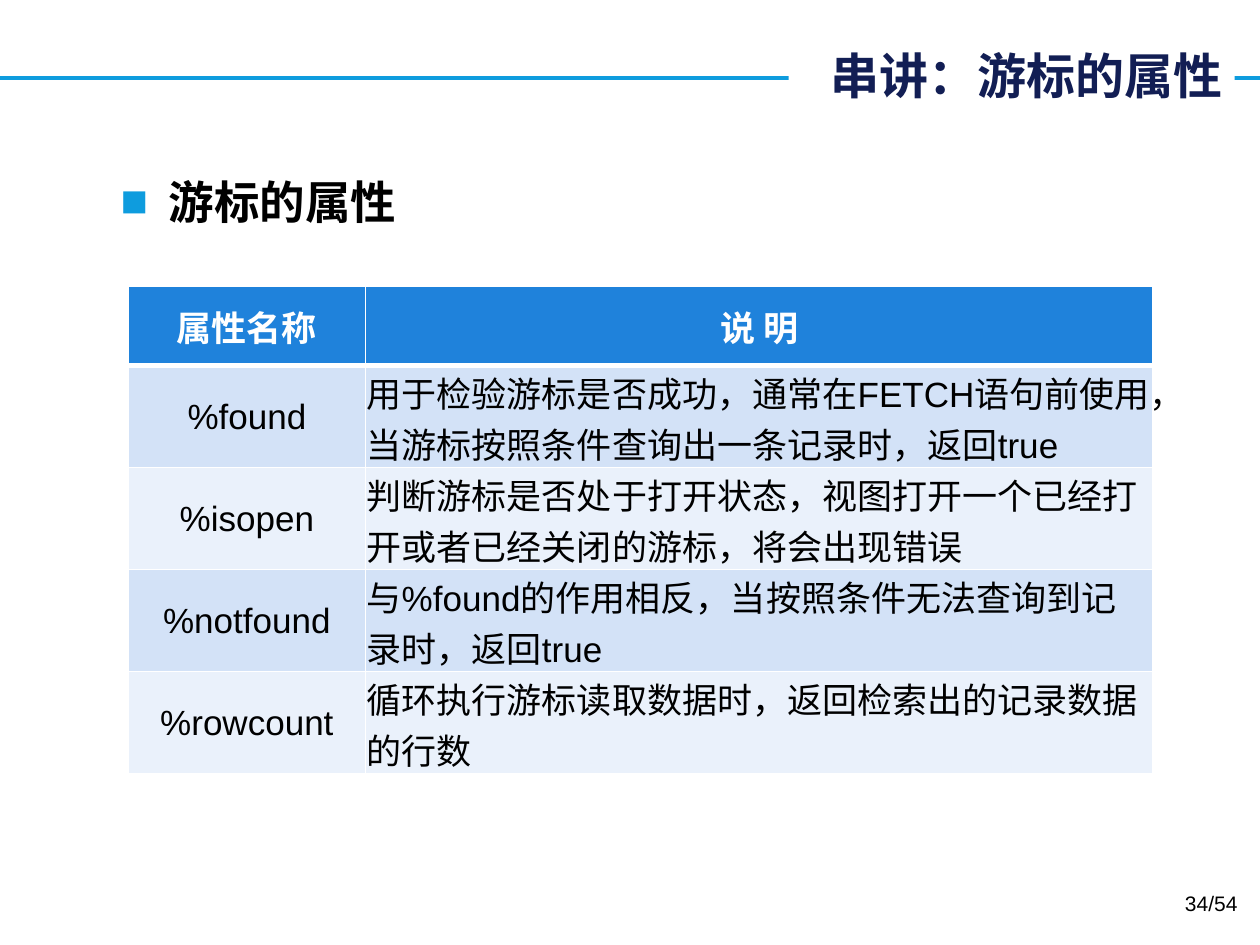
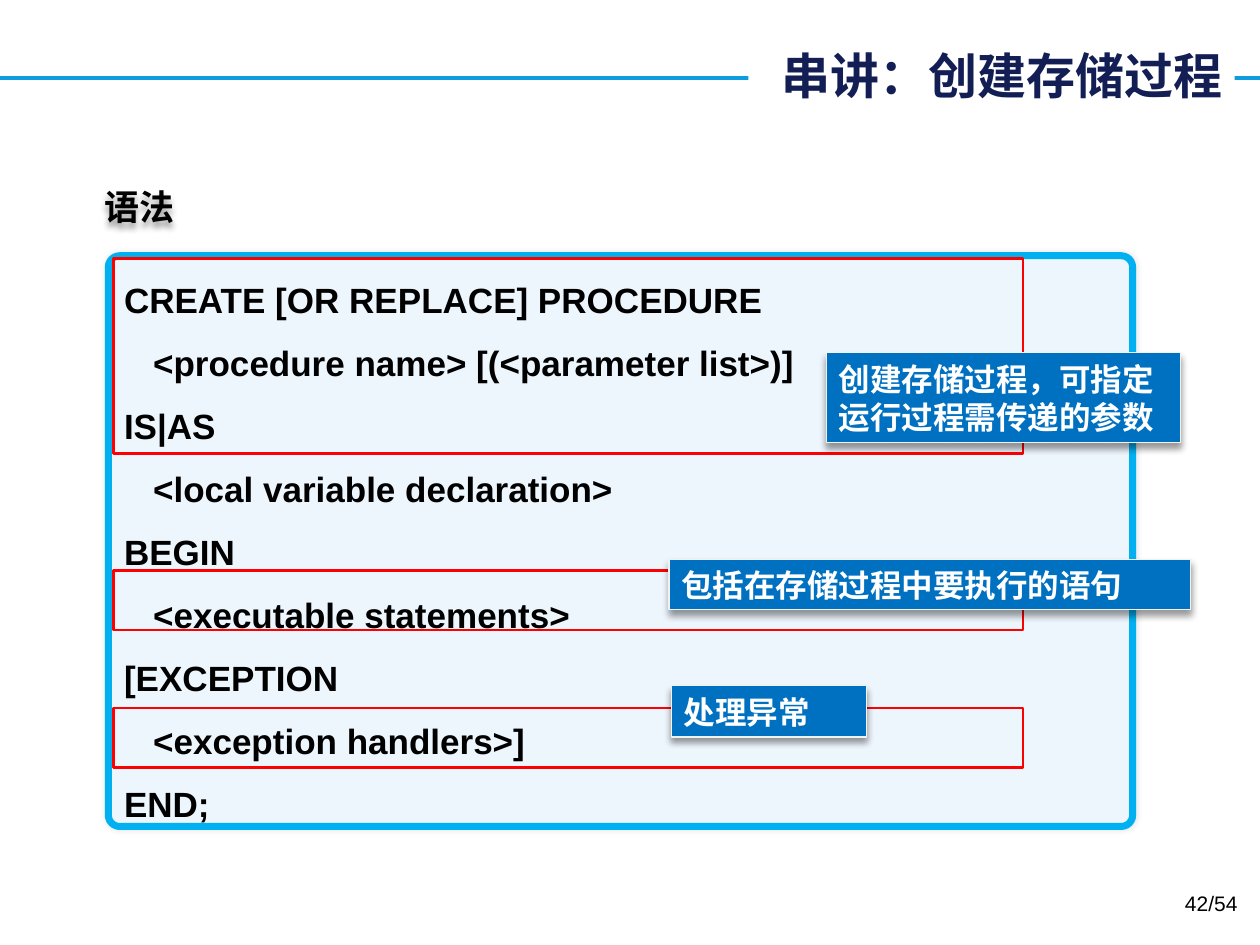
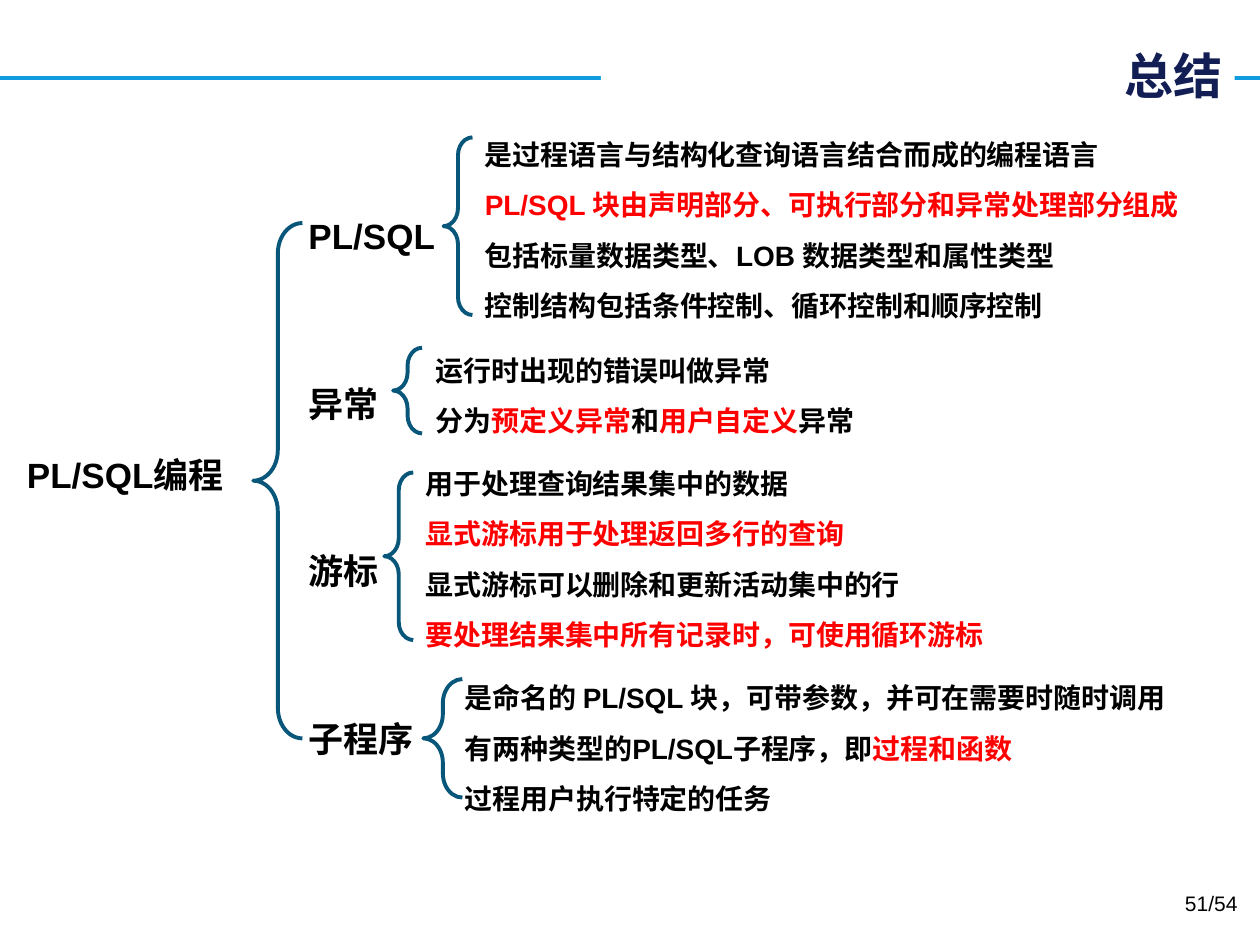
"""Build three slides that review cursors, stored procedures and PL/SQL."""
from lxml import etree
from pptx import Presentation
from pptx.dml.color import RGBColor
from pptx.enum.shapes import MSO_CONNECTOR, MSO_SHAPE
from pptx.enum.text import MSO_ANCHOR, PP_ALIGN
from pptx.oxml.ns import qn
from pptx.util import Inches, Pt

LEFT, MID, RIGHT = PP_ALIGN.LEFT, PP_ALIGN.CENTER, PP_ALIGN.RIGHT
TOP, CENTER, BOTTOM = MSO_ANCHOR.TOP, MSO_ANCHOR.MIDDLE, MSO_ANCHOR.BOTTOM
RECT, ROUND, BRACE = MSO_SHAPE.RECTANGLE, MSO_SHAPE.ROUNDED_RECTANGLE, MSO_SHAPE.LEFT_BRACE
STRAIGHT = MSO_CONNECTOR.STRAIGHT

COLORS = {
    "rule": "0E9CDE", "title": "121E54", "text": "000000", "white": "FFFFFF",
    "head": "1F82DB", "odd": "D3E2F7", "even": "EAF1FB", "code": "EDF5FD",
    "frame": "00B0F0", "red": "FF0000", "note": "0070C0", "edge": "F2F2F2",
    "brace": "08577A",
}
LATIN, HAN = "Arial", "Noto Sans CJK SC"
RED = {"color": "red"}
TOTAL = 54

ROWS = [
    ("%found", [("用于检验游标是否成功，通常在", {}), ("FETCH", {"name": LATIN}),
                ("语句前使用，当游标按照条件查询出一条记录时，返回", {}),
                ("true", {"name": LATIN})]),
    ("%isopen", "判断游标是否处于打开状态，视图打开一个已经打开或者已经关闭的游标，将会出现错误"),
    ("%notfound", [("与", {}), ("%found", {"name": LATIN}),
                   ("的作用相反，当按照条件无法查询到记录时，返回", {}),
                   ("true", {"name": LATIN})]),
    ("%rowcount", "循环执行游标读取数据时，返回检索出的记录数据的行数"),
]
CODE = [
    "CREATE [OR REPLACE] PROCEDURE",
    "   <procedure name> [(<parameter list>)]",
    "IS|AS",
    "   <local variable declaration>",
    "BEGIN",
    "   <executable statements>",
    "[EXCEPTION",
    "   <exception handlers>]",
    "END;",
]
FRAMES = [(2.05, 1.55), (4.53, 0.47), (5.62, 0.47)]
NOTES = [
    ((6.56, 2.8, 2.81, 0.71), ["创建存储过程，可指定", "运行过程需传递的参数"]),
    ((5.33, 5.44, 1.55, 0.41), ["处理异常"]),
    ((5.31, 4.44, 4.14, 0.4), ["包括在存储过程中要执行的语句"]),
]
TOPICS = [
    ("PL/SQL", (3.52, 1.09, 0.23, 1.41), (3.75, 0.91, 5.94, 1.67), [
        "是过程语言与结构化查询语言结合而成的编程语言",
        [("PL/SQL 块由声明部分、可执行部分和异常处理部分组成", RED)],
        "包括标量数据类型、LOB 数据类型和属性类型",
        "控制结构包括条件控制、循环控制和顺序控制"]),
    ("异常", (3.12, 2.76, 0.23, 0.68), (3.36, 2.62, 5.94, 0.86), [
        "运行时出现的错误叫做异常",
        [("分为", {}), ("预定义异常", RED), ("和", {}), ("用户自定义", RED), ("异常", {})]]),
    ("游标", (3.05, 3.75, 0.23, 1.33), (3.28, 3.52, 5.94, 1.67), [
        "用于处理查询结果集中的数据",
        [("显式游标用于处理返回多行的查询", RED)],
        "显式游标可以删除和更新活动集中的行",
        [("要处理结果集中所有记录时，可使用循环游标", RED)]]),
    ("子程序", (3.36, 5.39, 0.31, 0.94), (3.59, 5.22, 5.94, 1.26), [
        "是命名的 PL/SQL 块，可带参数，并可在需要时随时调用",
        [("有两种类型的PL/SQL子程序，即", {}), ("过程和函数", RED)],
        "过程用户执行特定的任务"]),
]


def hue(key):
    """Return the colour stored under a key."""
    return RGBColor.from_string(COLORS[key])


def apply(target, values):
    """Set each attribute in a dict of format values."""
    for key, value in values.items():
        setattr(target, key, value)


def child(parent, tag, **attrs):
    """Add an XML element below a parent."""
    return etree.SubElement(parent, qn(tag), attrs)


def style(run, size, color="text", name=LATIN, bold=True):
    """Set the font of a run."""
    apply(run.font, {"size": Pt(size), "bold": bold, "name": name})
    run.font.color.rgb = hue(color)
    child(run.font._element, "a:ea", typeface=HAN)


def write(frame, lines, size, align=LEFT, anchor=TOP, pitch=None, **font):
    """Fill a text frame with lines made of plain or styled parts."""
    apply(frame, {"word_wrap": True, "vertical_anchor": anchor})
    for i, line in enumerate(lines):
        para = frame.add_paragraph() if i else frame.paragraphs[0]
        apply(para, {"alignment": align, "line_spacing": pitch and Pt(pitch)})
        for text, extra in ([(line, {})] if isinstance(line, str) else line):
            run = para.add_run()
            run.text = text
            style(run, size, **{**font, **extra})


def label(slide, box, lines, size, **form):
    """Add a text box."""
    shape = slide.shapes.add_textbox(*map(Inches, box))
    write(shape.text_frame, lines, size, **form)
    return shape


def draw(slide, kind, box, fill=None, line=None, width=1):
    """Add a preset shape with a plain fill and line."""
    shape = slide.shapes.add_shape(kind, *map(Inches, box))
    shape.shadow.inherit = False
    if fill:
        shape.fill.solid()
        shape.fill.fore_color.rgb = hue(fill)
    else:
        shape.fill.background()
    if line:
        shape.line.color.rgb = hue(line)
        shape.line.width = Pt(width)
    else:
        shape.line.fill.background()
    return shape


def shade(shape, alpha=40, blur=4, dist=3, angle=90):
    """Give a shape an outer shadow."""
    shape.shadow.inherit = False
    effects = shape._element.spPr.find(qn("a:effectLst"))
    outer = child(effects, "a:outerShdw", blurRad=str(Pt(blur)), dist=str(Pt(dist)),
                  dir=str(angle * 60000), algn="ctr", rotWithShape="0")
    color = child(outer, "a:srgbClr", val=COLORS["text"])
    child(color, "a:alpha", val=str(alpha * 1000))


def brace(slide, box):
    """Add a left brace."""
    shape = draw(slide, BRACE, box, line="brace", width=2.25)
    shape.adjustments[0] = 0.62
    shape.adjustments[1] = 0.5


def start(deck, title, left, number):
    """Add a slide with its rule, title and page number."""
    slide = deck.slides.add_slide(deck.slide_layouts[6])
    rule = slide.shapes.add_connector(
        STRAIGHT, 0, Inches(0.62), deck.slide_width, Inches(0.62))
    rule.line.color.rgb = hue("rule")
    rule.line.width = Pt(2.25)
    child(rule._element.spPr, "a:effectLst")
    plate = draw(slide, RECT, (left, 0.31, 9.8 - left, 0.57), "white")
    write(plate.text_frame, [title], 28, RIGHT, CENTER, color="title", name=HAN)
    label(slide, (7.59, 7.02, 2.33, 0.4), [f"{number}/{TOTAL}"], 12,
          align=RIGHT, bold=False)
    return slide


def bullet(slide, box, text):
    """Add a text box with one square bullet."""
    shape = slide.shapes.add_textbox(*map(Inches, box))
    props = shape.text_frame.paragraphs[0]._p.get_or_add_pPr()
    props.set("marL", str(Inches(0.38)))
    props.set("indent", str(-Inches(0.38)))
    child(child(props, "a:buClr"), "a:srgbClr", val=COLORS["rule"])
    child(props, "a:buFont", typeface=LATIN)
    child(props, "a:buChar", char="■")
    write(shape.text_frame, [text], 26)


def border(cell, **widths):
    """Draw white borders round a cell, in points by side."""
    props = cell._tc.get_or_add_tcPr()
    for i, side in enumerate("LRTB"):
        line = etree.Element(qn(f"a:ln{side}"), w=str(Pt(widths.get(side, 1))))
        child(child(line, "a:solidFill"), "a:srgbClr", val=COLORS["white"])
        props.insert(i, line)


def paint(cell, fill, text, align, **font):
    """Fill one table cell."""
    cell.fill.solid()
    cell.fill.fore_color.rgb = hue(fill)
    edge = Inches(0.01)
    apply(cell, {"margin_left": edge, "margin_right": edge, "margin_top": edge,
                 "margin_bottom": 0, "vertical_anchor": CENTER})
    para = cell.text_frame.paragraphs[0]
    para.alignment = align
    for part, extra in ([(text, {})] if isinstance(text, str) else text):
        run = para.add_run()
        run.text = part
        style(run, 20, **{**font, **extra})


def grid(slide):
    """Add the table of cursor attributes."""
    heights = [0.63] + [0.81] * len(ROWS)
    table = slide.shapes.add_table(
        len(heights), 2, Inches(1.02), Inches(2.27), Inches(8.13),
        Inches(sum(heights))).table
    for col, width in zip(table.columns, (1.88, 6.25)):
        col.width = Inches(width)
    for row, height in zip(table.rows, heights):
        row.height = Inches(height)
    for c, text in enumerate(("属性名称", "说 明")):
        paint(table.cell(0, c), "head", text, MID, color="white", name=HAN)
        border(table.cell(0, c), B=3)
    for r, (name, note) in enumerate(ROWS, 1):
        fill = "odd" if r % 2 else "even"
        paint(table.cell(r, 0), fill, name, MID, bold=False)
        paint(table.cell(r, 1), fill, note, LEFT, name=HAN, bold=False)
        for c in range(2):
            border(table.cell(r, c), T=3 if r == 1 else 1)


def cursor(deck):
    """Build the slide on cursor attributes."""
    slide = start(deck, "串讲：游标的属性", 6.26, 34)
    bullet(slide, (0.86, 1.33, 8.36, 0.7), "游标的属性")
    grid(slide)


def syntax(deck):
    """Build the slide on procedure syntax."""
    slide = start(deck, "串讲：创建存储过程", 5.94, 42)
    panel = draw(slide, ROUND, (0.86, 2.03, 8.13, 4.53), "code", "frame", 4)
    panel.adjustments[0] = 0.02
    shade(panel, 10, 3, 0, 0)
    write(panel.text_frame, CODE, 20, anchor=CENTER, pitch=36)
    shade(label(slide, (0.73, 1.42, 0.77, 0.44), ["语法"], 20, name=HAN))
    for top, height in FRAMES:
        draw(slide, RECT, (0.9, top, 7.22, height), line="red", width=1.5)
    for box, lines in NOTES:
        note = draw(slide, RECT, box, "note", "edge", 0.75)
        shade(note)
        write(note.text_frame, lines, 18, anchor=BOTTOM, color="white")


def recap(deck):
    """Build the summary slide."""
    slide = start(deck, "总结", 4.77, 51)
    label(slide, (0, 3.55, 1.99, 0.44), ["PL/SQL编程"], 20, align=MID)
    brace(slide, (2.01, 1.77, 0.39, 4.09))
    for i, (name, curve, box, lines) in enumerate(TOPICS):
        label(slide, (2.35, 1.65 + 1.33 * i, 1.3, 0.44), [name], 20, anchor=CENTER)
        brace(slide, curve)
        label(slide, box, lines, 16, pitch=28.8)


def main():
    """Build and save the deck."""
    deck = Presentation()
    apply(deck, {"slide_width": Inches(10), "slide_height": Inches(7.5)})
    for build in (cursor, syntax, recap):
        build(deck)
    deck.save("out.pptx")


if __name__ == "__main__":
    main()
